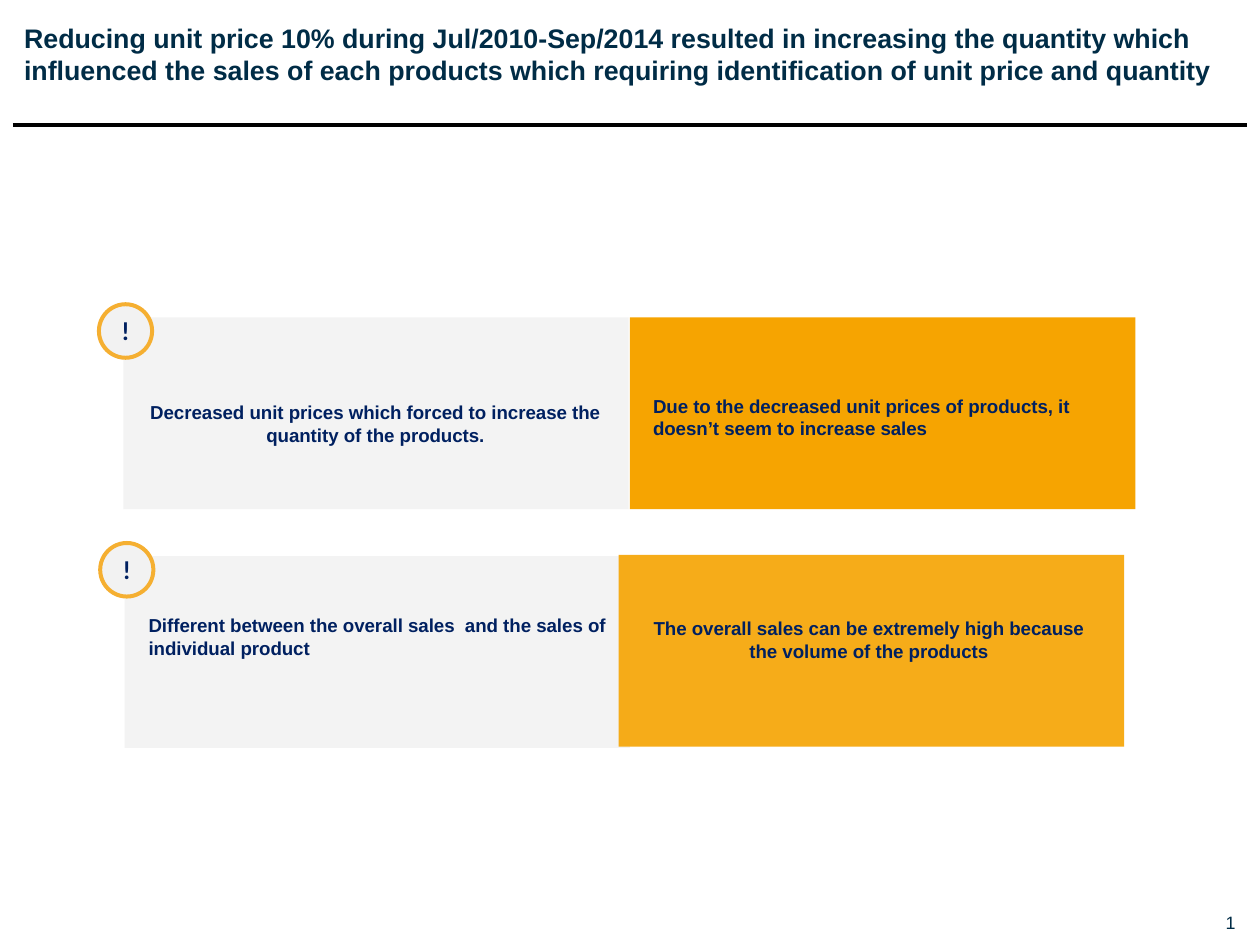
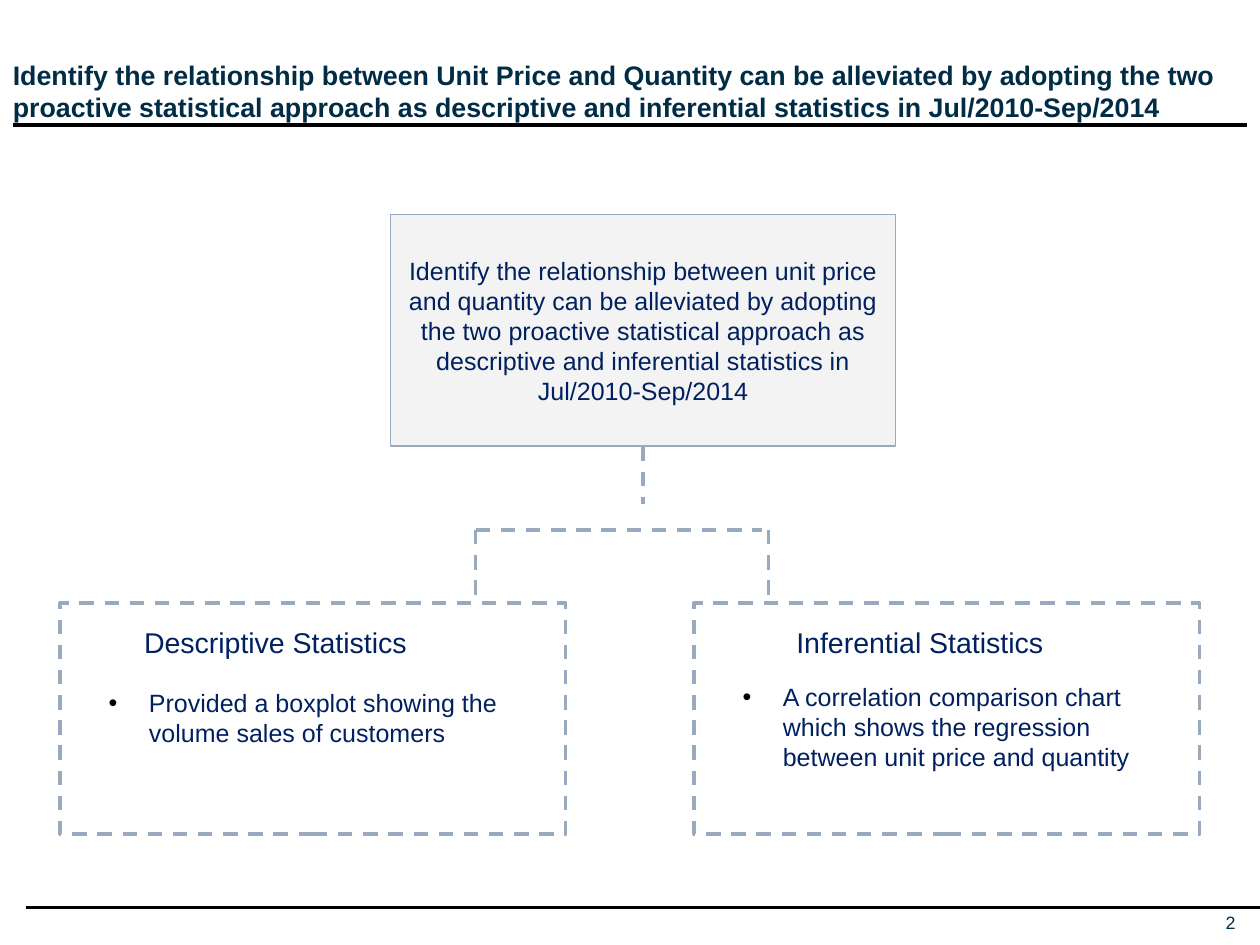
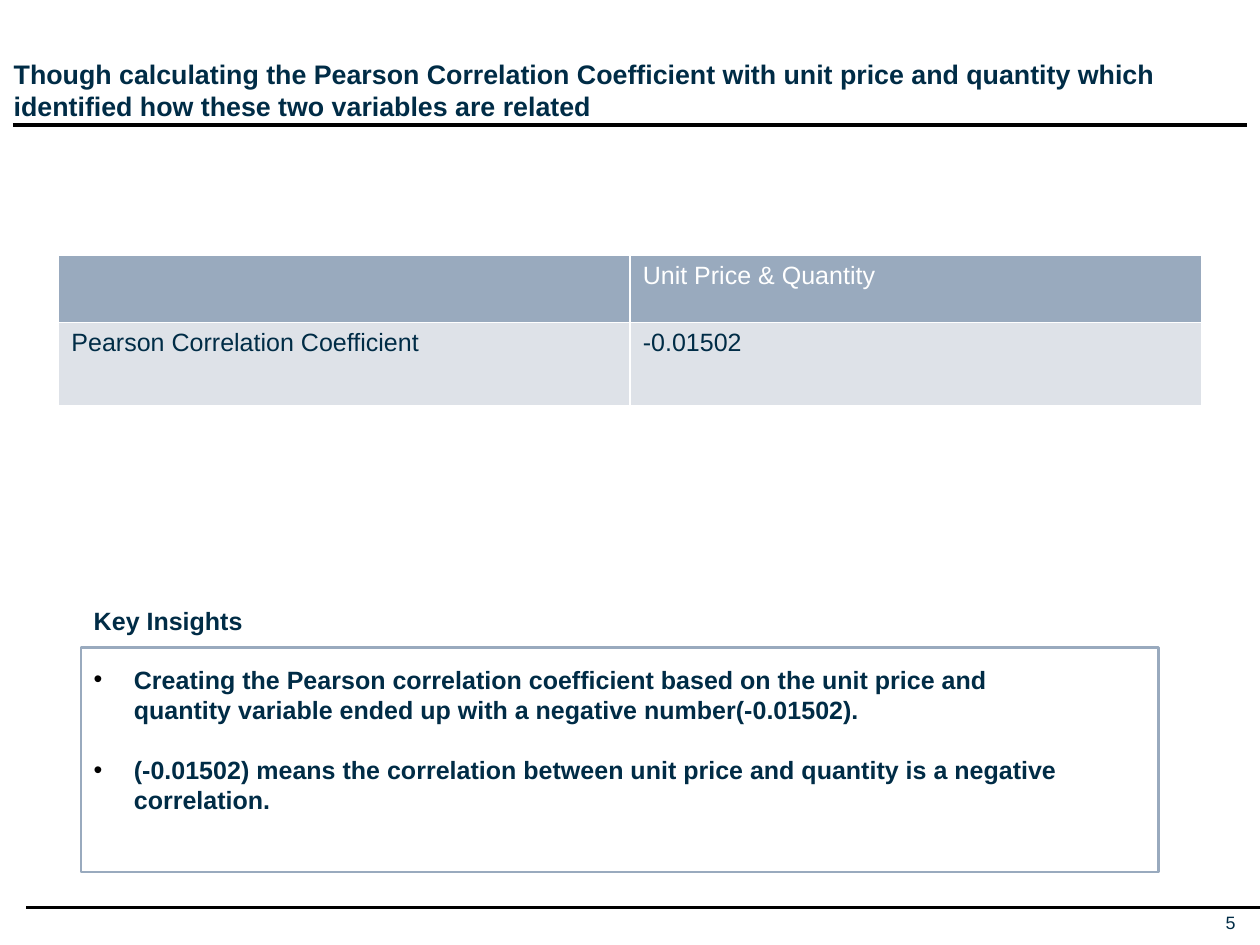
from lxml import etree
from pptx import Presentation, util as u
from pptx.dml.color import RGBColor
from pptx.enum import dml, shapes, text
from pptx.oxml import ns

COLORS = {
    "black": "000000", "white": "FFFFFF", "ink": "002C46", "navy": "002060",
    "steel": "99AABE", "mist": "DEE2E8", "grey": "F2F2F2",
    "orange": "F6A401", "ring": "F5AF31",
}
STYLES = {
    "title": ("ink", {"name": "Arial", "size": u.Pt(15), "bold": True}),
    "number": ("ink", {"name": "Arial", "size": u.Pt(10), "bold": False}),
    "panel": ("navy", {"name": "Arial", "size": u.Pt(10.5), "bold": True}),
    "mark": ("navy", {"name": "Lato", "size": u.Pt(13.7), "bold": True}),
    "heading": ("navy", {"name": "Arial", "size": u.Pt(16), "bold": False}),
    "body": ("navy", {"name": "Arial", "size": u.Pt(14), "bold": False}),
    "insight": ("ink", {"name": "Arial", "size": u.Pt(14), "bold": True}),
    "head cell": ("white", {"name": "Arial", "size": u.Pt(14), "bold": False}),
    "cell": ("ink", {"name": "Arial", "size": u.Pt(14), "bold": False}),
}
PADDED = (7.2, 3.6)
FLUSH = (0, 0)
LEFT, CENTER, RIGHT = text.PP_ALIGN.LEFT, text.PP_ALIGN.CENTER, text.PP_ALIGN.RIGHT
TOP, MIDDLE = text.MSO_ANCHOR.TOP, text.MSO_ANCHOR.MIDDLE
RECT, OVAL = shapes.MSO_SHAPE.RECTANGLE, shapes.MSO_SHAPE.OVAL
WIDTH, HEIGHT = 705.6, 529.2
PANEL = (283, 107.3)
BRANCH = (283, 129.6)


def rgb(name):
    return RGBColor.from_string(COLORS[name])


def child(parent, tag, **attributes):
    return etree.SubElement(parent, ns.qn(tag), attributes)


def add_bullet(p):
    pPr = p._p.get_or_add_pPr()
    pPr.set("marL", str(u.Pt(22.5)))
    pPr.set("indent", str(-u.Pt(22.5)))
    child(child(pPr, "a:buClr"), "a:srgbClr", val=COLORS["black"])
    child(pPr, "a:buFont", typeface="Arial")
    child(pPr, "a:buChar", char="•")


def write(tf, lines, style, align=LEFT, bullet=False, gap=0):
    color, font = STYLES[style]
    for i, line in enumerate(lines):
        p = tf.add_paragraph() if i else tf.paragraphs[0]
        p.alignment = align
        p.space_before = u.Pt(gap if i else 0)
        if bullet:
            add_bullet(p)
        r = p.add_run()
        r.text = line
        for name, value in font.items():
            setattr(r.font, name, value)
        r.font.color.rgb = rgb(color)


def set_frame(tf, inset, anchor):
    across, down = map(u.Pt, inset)
    frame = {"word_wrap": True, "vertical_anchor": anchor,
             "margin_left": across, "margin_right": across,
             "margin_top": down, "margin_bottom": down}
    for name, value in frame.items():
        setattr(tf, name, value)


def add_text(s, box, lines, style, inset=PADDED, anchor=TOP, **layout):
    sp = s.shapes.add_textbox(*map(u.Pt, box))
    set_frame(sp.text_frame, inset, anchor)
    write(sp.text_frame, lines, style, **layout)


def set_line(line, color, width, dashed=False):
    line.color.rgb = rgb(color)
    line.width = u.Pt(width)
    if dashed:
        line.dash_style = dml.MSO_LINE.DASH


def add_box(s, kind, box, fill=None, opacity=100, line=None):
    sp = s.shapes.add_shape(kind, *map(u.Pt, box))
    sp.shadow.inherit = False
    if fill:
        sp.fill.solid()
        sp.fill.fore_color.rgb = rgb(fill)
        if opacity < 100:
            color = sp._element.spPr.find(".//" + ns.qn("a:srgbClr"))
            child(color, "a:alpha", val=str(opacity * 1000))
    else:
        sp.fill.background()
    if line:
        set_line(sp.line, *line)
    else:
        sp.line.fill.background()
    return sp


def add_line(s, start, end, line):
    c = s.shapes.add_connector(shapes.MSO_CONNECTOR.STRAIGHT,
                               *map(u.Pt, (*start, *end)))
    set_line(c.line, *line)
    child(c._element.spPr, "a:effectLst")


def add_mark(s, x, y):
    sp = add_box(s, OVAL, (x, y, 29.8, 30), "grey", line=("ring", 2.25))
    set_frame(sp.text_frame, PADDED, MIDDLE)
    write(sp.text_frame, ["!"], "mark", CENTER)


def add_cell_borders(cell):
    tcPr = cell._tc.get_or_add_tcPr()
    for side in ("L", "R", "T", "B"):
        ln = child(tcPr, "a:ln" + side, w=str(u.Pt(1)))
        child(child(ln, "a:solidFill"), "a:srgbClr", val=COLORS["white"])


def add_table(s, box, heights, rows):
    table = s.shapes.add_table(len(rows), len(rows[0]), *map(u.Pt, box)).table
    table.first_row = table.horz_banding = False
    for i, row in enumerate(rows):
        table.rows[i].height = u.Pt(heights[i])
        for j, value in enumerate(row):
            cell = table.cell(i, j)
            add_cell_borders(cell)
            cell.fill.solid()
            cell.fill.fore_color.rgb = rgb("mist" if i else "steel")
            if value:
                write(cell.text_frame, [value], "cell" if i else "head cell")


def add_slide(prs, number, title, x, y, footer=True):
    s = prs.slides.add_slide(prs.slide_layouts[6])
    add_text(s, (679.7, 510.5, 12.2, 12.2), [number], "number", FLUSH, MIDDLE,
             align=RIGHT)
    add_line(s, (7.2, 69.9), (698.6, 69.9), ("black", 2))
    if footer:
        add_line(s, (14.6, 508.3), (WIDTH, 508.3), ("black", 2))
    add_text(s, (x, y, 679, 36), [title], "title", FLUSH)
    return s


def build_price_effects(prs):
    s = add_slide(prs, "1", "Reducing unit price 10% during Jul/2010-Sep/2014 resulted in "
                  "increasing the quantity which influenced the sales of each products "
                  "which requiring identification of unit price and quantity",
                  13.5, 12.4, footer=False)
    panels = [
        (69.1, 177.8, "grey", 85, 74.2, 221, CENTER,
         "Decreased unit prices which forced to increase the quantity of the products."),
        (352.8, 177.8, "orange", 100, 358.6, 217.4, LEFT,
         "Due to the decreased unit prices of products, it doesn’t seem to increase sales"),
        (69.8, 311.5, "grey", 85, 76.1, 340.3, LEFT,
         "Different between the overall sales  and the sales of individual product"),
        (346.5, 310.8, "orange", 90, 350.6, 342, CENTER,
         "The overall sales can be extremely high because the volume of the products"),
    ]
    for x, y, fill, opacity, text_x, text_y, align, words in panels:
        add_box(s, RECT, (x, y, *PANEL), fill, opacity)
        add_text(s, (text_x, text_y, 272.2, 32.4), [words], "panel", align=align)
        if fill == "grey":
            add_mark(s, x - 13.7, y - 7.4)


def build_approach(prs):
    aim = ("Identify the relationship between {} can be alleviated by adopting the two "
           "proactive statistical approach as descriptive and inferential statistics "
           "in Jul/2010-Sep/2014")
    s = add_slide(prs, "2", aim.format("Unit Price and Quantity"), 7.2, 32.8)
    dashed = ("steel", 2, True)
    sp = add_box(s, RECT, (218.7, 120.2, *BRANCH), "grey", 85, ("steel", 0.75))
    set_frame(sp.text_frame, FLUSH, MIDDLE)
    write(sp.text_frame, [aim.format("unit price and quantity")], "body", CENTER)

    for start, end in [((360, 250), (360, 282)), ((266.4, 296.8), (427, 296.8)),
                       ((266.4, 296.8), (266.4, 337.5)),
                       ((430.4, 296.8), (430.4, 337.5))]:
        add_line(s, start, end, dashed)

    branches = [
        (33.8, 73.6, 381.6, "Descriptive Statistics",
         "Provided a boxplot showing the volume sales of customers"),
        (388.8, 438.9, 378.2, "Inferential Statistics",
         "A correlation comparison chart which shows the regression between "
         "unit price and quantity"),
    ]
    for x, heading_x, body_y, heading, body in branches:
        add_box(s, RECT, (x, 337.6, *BRANCH), line=dashed)
        add_text(s, (heading_x, 346.3, 242.6, 26.6), [heading], "heading")
        add_text(s, (x + 20, body_y, 242.6, 58), [body], "body", bullet=True)


def build_correlation(prs):
    s = add_slide(prs, "5", "Though calculating the Pearson Correlation Coefficient with "
                  "unit price and quantity which identified how these two variables "
                  "are related", 7.7, 32.2)
    add_table(s, (32.8, 142.9, 640, 84.6), (37.8, 46.8),
              [("", "Unit Price & Quantity"),
               ("Pearson Correlation Coefficient", "-0.01502")])
    add_box(s, RECT, (45.4, 362.4, 603.4, 126), line=("steel", 1.5))
    add_text(s, (45.4, 335.5, 120, 24.5), ["Key Insights"], "insight")
    add_text(s, (45.4, 368.4, 561.6, 92),
             ["Creating the Pearson correlation coefficient based on the unit price and "
              "quantity variable ended up with a negative number(-0.01502).",
              "(-0.01502) means the correlation between unit price and quantity is a "
              "negative correlation."], "insight", bullet=True, gap=17)


def main():
    prs = Presentation()
    prs.slide_width, prs.slide_height = u.Pt(WIDTH), u.Pt(HEIGHT)
    build_price_effects(prs)
    build_approach(prs)
    build_correlation(prs)
    prs.save("out.pptx")


main()
